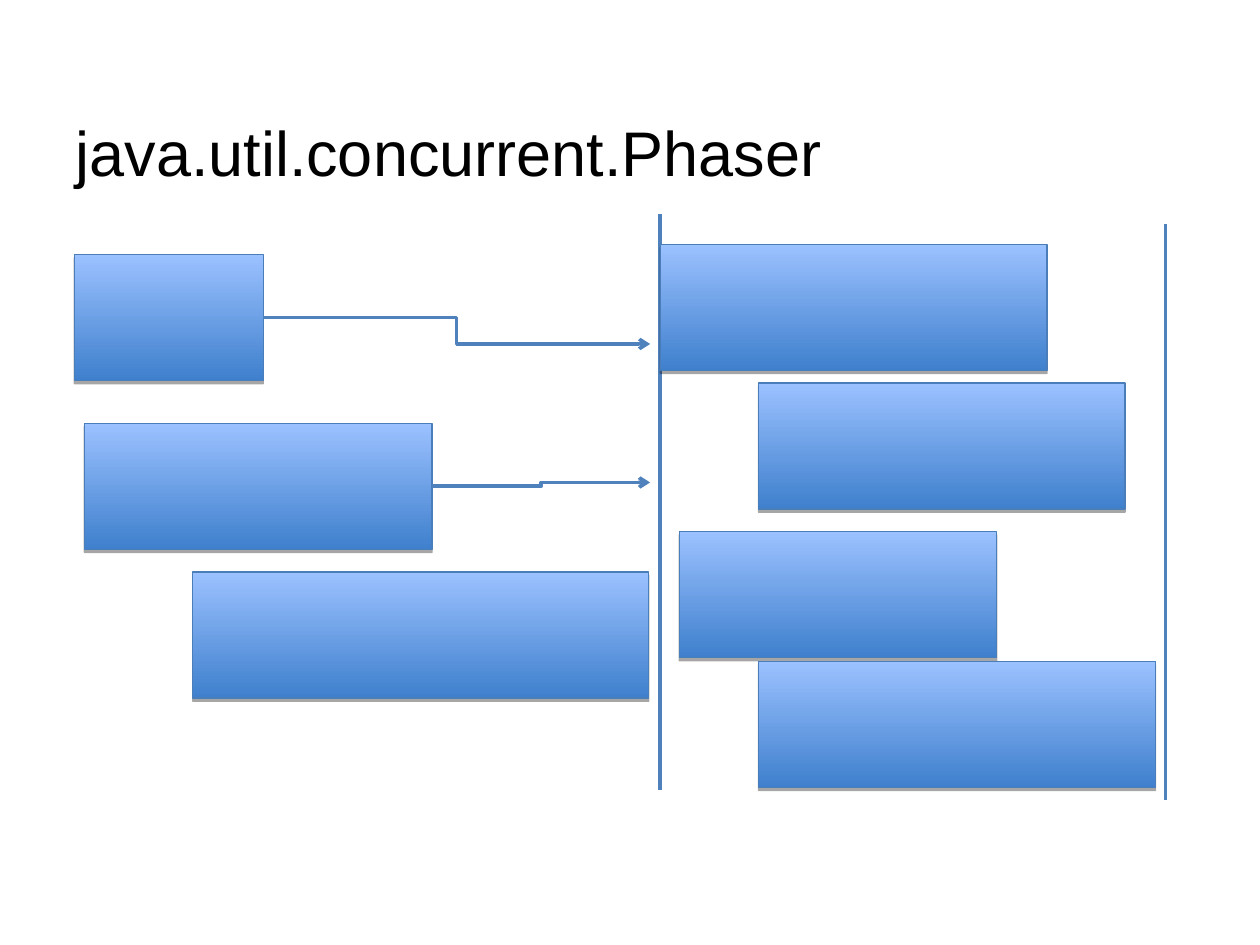
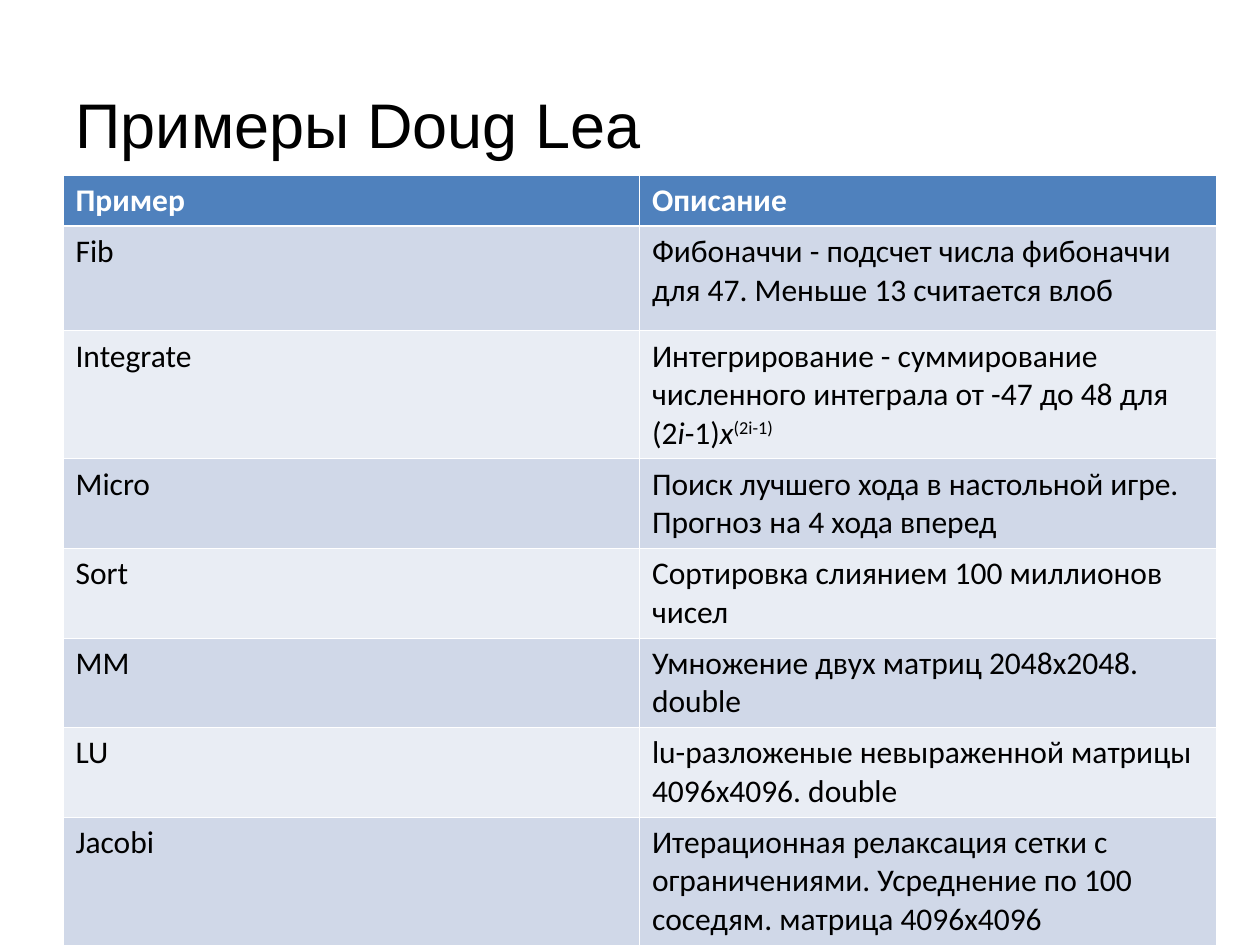
"""Build two slides: a phaser timeline and a table of fork/join examples."""
from lxml import etree
from pptx import Presentation, util as u
from pptx.dml.color import RGBColor
from pptx.enum import shapes, text
from pptx.oxml import ns

COLORS = {"white": "FFFFFF", "black": "000000", "accent": "4F81BD", "edge": "4A7EBB",
          "low": "3F80CD", "high": "9BC1FF", "dark": "D0D8E8", "light": "E9EDF4"}

WIDE, TALL = 10, 7.5
TASK_H = 1
FIRST = [(0.59, 2.02, 1.5), (0.67, 3.36, 2.76), (1.53, 4.54, 3.62)]
SECOND = [(5.24, 1.94, 3.07), (6.02, 3.04, 2.91), (5.39, 4.22, 2.52), (6.02, 5.25, 3.15)]
BARRIERS = [(5.24, 1.7), (9.25, 1.78)]
BAR_H = 4.57
WAIT_X, WAIT_Y = 5.16, [2.73, 3.83]

ITALIC, RAISED = {"italic": True}, {"base": 30}
FORMULA = [("Интегрирование - суммирование численного интеграла от -47 до 48 для (2", {}),
           ("i", ITALIC), ("-1)", {}), ("x", ITALIC), ("(2i-1)", RAISED)]
ROWS = [
    (0.4, "Пример", "Описание"),
    (0.83, "Fib", "Фибоначчи - подсчет числа фибоначчи для 47. Меньше 13 считается влоб"),
    (1, "Integrate", FORMULA),
    (0.7, "Micro", "Поиск лучшего хода в настольной игре. Прогноз на 4 хода вперед"),
    (0.7, "Sort", "Сортировка слиянием 100 миллионов чисел"),
    (0.7, "ММ", "Умножение двух матриц 2048х2048. double"),
    (0.7, "LU", "lu-разложеные невыраженной матрицы 4096х4096. double"),
    (1, "Jacobi", "Итерационная релаксация сетки с ограничениями. "
                  "Усреднение по 100 соседям. матрица 4096х4096"),
]
TABLE = (0.5, 1.39, 9.15)


def rgb(name):
    return RGBColor.from_string(COLORS[name])


def inches(*sizes):
    return [u.Inches(size) for size in sizes]


def node(parent, tag, **attrs):
    item = etree.SubElement(parent, ns.qn(tag))
    for key, value in attrs.items():
        item.set(key, str(value))
    return item


def write(par, words, size=18, font="Calibri", color="black", bold=False, italic=False, base=0):
    run = par.add_run()
    run.text = words
    face = run.font
    face.size, face.name, face.bold, face.italic = u.Pt(size), font, bold, italic
    face.color.rgb = rgb(color)
    if base:
        run._r.get_or_add_rPr().set("baseline", str(base * 1000))


def add_slide(deck, title, height):
    slide = deck.slides.add_slide(deck.slide_layouts[5])
    head = slide.shapes.title
    head.left, head.top, head.width, head.height = inches(0.5, 0.58, WIDE - 1, height)
    frame = head.text_frame
    frame.auto_size = text.MSO_AUTO_SIZE.NONE
    frame.vertical_anchor = text.MSO_ANCHOR.MIDDLE
    par = frame.paragraphs[0]
    par.alignment = text.PP_ALIGN.LEFT
    write(par, title, size=36, font="Arial")
    return slide


def add_task(slide, left, top, width):
    task = slide.shapes.add_shape(shapes.MSO_SHAPE.RECTANGLE, *inches(left, top, width, TASK_H))
    task.fill.gradient()
    task.fill.gradient_angle = 90
    for stop, name, place in zip(task.fill.gradient_stops, ("low", "high"), (0, 1)):
        stop.color.rgb, stop.position = rgb(name), place
    task.line.color.rgb, task.line.width = rgb("edge"), u.Pt(0.75)
    task.shadow.inherit = False
    effects = task._element.spPr.find(ns.qn("a:effectLst"))
    shade = node(effects, "a:outerShdw", blurRad=0, dist=u.Pt(1.8), dir=5400000, rotWithShape=0)
    node(node(shade, "a:srgbClr", val=COLORS["black"]), "a:alpha", val=35000)
    return task


def add_line(slide, kind, *ends):
    line = slide.shapes.add_connector(kind, *inches(*ends))
    line.line.color.rgb, line.line.width = rgb("accent"), u.Pt(2)
    node(line._element.spPr, "a:effectLst")
    return line


def add_bar(slide, left, top):
    add_line(slide, shapes.MSO_CONNECTOR.STRAIGHT, left, top, left, top + BAR_H)


def add_wait(slide, task, spot, end):
    left, top, width = spot
    wait = add_line(slide, shapes.MSO_CONNECTOR.ELBOW, left + width, top + TASK_H / 2, WAIT_X, end)
    wait.begin_connect(task, 3)
    node(wait.line._get_or_add_ln(), "a:tailEnd", type="arrow")


def fill_cell(cell, content, row):
    props = cell._tc.get_or_add_tcPr()
    for side in "LRTB":
        thick = (side, row) in (("B", 0), ("T", 1))
        edge = node(props, f"a:ln{side}", w=u.Pt(1.47 if thick else 0.45))
        node(node(edge, "a:solidFill"), "a:srgbClr", val=COLORS["white"])
    cell.fill.solid()
    cell.fill.fore_color.rgb = rgb("accent" if row == 0 else "dark" if row % 2 else "light")
    look = {"color": "white", "bold": True} if row == 0 else {}
    parts = [(content, {})] if isinstance(content, str) else content
    for words, extra in parts:
        write(cell.text_frame.paragraphs[0], words, **look, **extra)


def add_phaser(deck):
    slide = add_slide(deck, "java.util.concurrent.Phaser", 1.25)
    tasks = [add_task(slide, *spot) for spot in FIRST]
    add_bar(slide, *BARRIERS[0])
    for task, spot, end in zip(tasks, FIRST, WAIT_Y):
        add_wait(slide, task, spot, end)
    for spot in SECOND:
        add_task(slide, *spot)
    add_bar(slide, *BARRIERS[1])


def add_examples(deck):
    slide = add_slide(deck, "Примеры Doug Lea", 0.8)
    height = sum(row[0] for row in ROWS)
    grid = slide.shapes.add_table(len(ROWS), 2, *inches(*TABLE, height)).table
    for index, (tall, *cells) in enumerate(ROWS):
        grid.rows[index].height = u.Inches(tall)
        for col, content in enumerate(cells):
            fill_cell(grid.cell(index, col), content, index)


def main():
    deck = Presentation()
    deck.slide_width, deck.slide_height = inches(WIDE, TALL)
    add_phaser(deck)
    add_examples(deck)
    deck.save("out.pptx")


if __name__ == "__main__":
    main()
